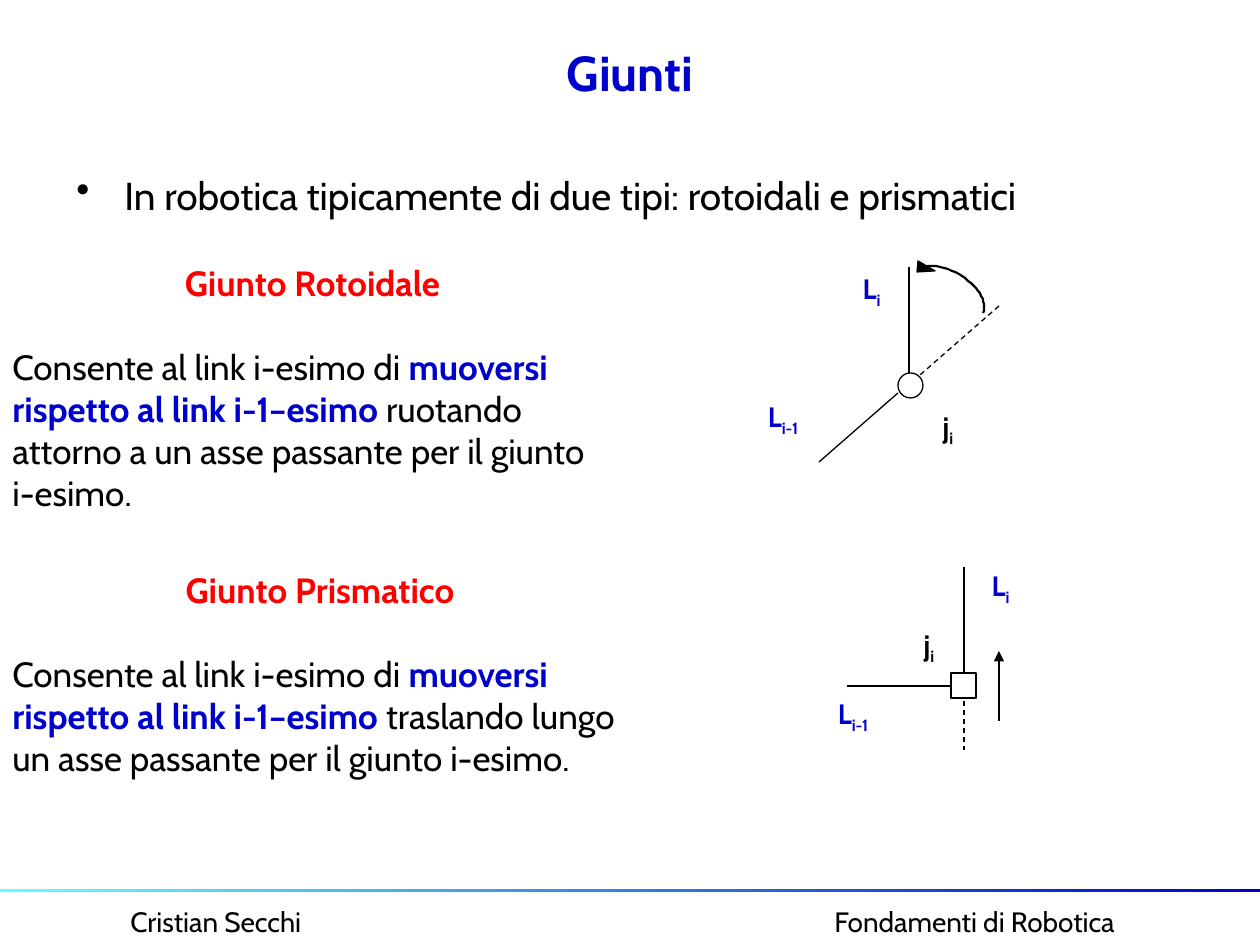
"""Build the slide on revolute and prismatic robot joints."""
import pptx
import pptx.dml.color
import pptx.enum.dml
import pptx.enum.shapes
import pptx.enum.text
import pptx.oxml.ns
import pptx.util
from lxml import etree

RGBColor = pptx.dml.color.RGBColor
BLUE = RGBColor(0x00, 0x00, 0xCC)
CYAN = RGBColor(0x66, 0xFF, 0xFF)
RED = RGBColor(0xFF, 0x00, 0x00)
BLACK = RGBColor(0x00, 0x00, 0x00)
WHITE = RGBColor(0xFF, 0xFF, 0xFF)
FONT = "Cabin"
SCALE = 914400 / 126
ALIGN = pptx.enum.text.PP_ALIGN
SHAPE = pptx.enum.shapes.MSO_SHAPE

TITLE = "Giunti"
INTRO = "In robotica tipicamente di due tipi: rotoidali e prismatici"
OPENING = "Consente al link i-esimo di "
EMPHASIS = "muoversi rispetto al link i-1–esimo "
JOINTS = [
    ("Giunto Rotoidale", "ruotando attorno a un asse passante per il giunto i-esimo.", (0, 255, 625, 265)),
    ("Giunto Prismatico", "traslando lungo un asse passante per il giunto i-esimo.", (0, 562, 640, 265)),
]
FOOTERS = [("Cristian Secchi", 118), ("Fondamenti di Robotica", 822)]
LABELS = [
    ("L", "i-1", BLUE, (753, 393, 60, 52)),
    ("L", "i", BLUE, (849, 265, 45, 52)),
    ("j", "i", BLACK, (929, 403, 38, 52)),
    ("L", "i-1", BLUE, (823, 690, 60, 52)),
    ("L", "i", BLUE, (978, 562, 45, 52)),
    ("j", "i", BLACK, (910, 621, 38, 52)),
]
LINES = [
    ((898, 393), (819, 462), ""),
    ((909, 267), (909, 373), ""),
    ((999, 306), (920, 375), "dash"),
    ((952, 686), (847, 686), ""),
    ((964, 567), (964, 673), ""),
    ((964, 701), (964, 750), "dash"),
    ((999, 721), (999, 651), "arrow"),
]
PIVOTS = [(SHAPE.OVAL, (898, 373, 25, 25)), (SHAPE.RECTANGLE, (951, 673, 25, 25))]
ARC_CONTROLS = [(983, 313), (991, 297), (962, 265), (927, 266)]
ARC_HEAD = [(918, 261), (917, 272), (935, 271)]


def emu(*lengths):
    return [round(length * SCALE) for length in lengths]


def add_text(slide, box, paragraphs, size, wrap=True):
    """Add a text box; each paragraph is (alignment, [(text, colour, bold), ...])."""
    frame = slide.shapes.add_textbox(*emu(*box)).text_frame
    frame.word_wrap = wrap
    for index, (alignment, pieces) in enumerate(paragraphs):
        paragraph = frame.add_paragraph() if index else frame.paragraphs[0]
        paragraph.alignment = alignment
        for text, colour, bold in pieces:
            run = paragraph.add_run()
            run.text = text
            run.font.name = FONT
            run.font.size = pptx.util.Pt(size)
            run.font.bold = bold
            run.font.color.rgb = colour
    return frame


def add_bullet(paragraph, indent):
    properties = paragraph._p.get_or_add_pPr()
    properties.set("marL", str(indent))
    properties.set("indent", str(-indent))
    etree.SubElement(properties, pptx.oxml.ns.qn("a:buChar")).set("char", "•")


def add_line(slide, start, end, style):
    connector = slide.shapes.add_connector(
        pptx.enum.shapes.MSO_CONNECTOR.STRAIGHT, *emu(*start, *end))
    connector.line.color.rgb = BLACK
    connector.line.width = pptx.util.Pt(0.75)
    if style == "dash":
        connector.line.dash_style = pptx.enum.dml.MSO_LINE.DASH
    if style == "arrow":
        outline = connector.line._get_or_add_ln()
        etree.SubElement(outline, pptx.oxml.ns.qn("a:tailEnd")).set("type", "triangle")
    etree.SubElement(connector._element.spPr, pptx.oxml.ns.qn("a:effectLst"))


def add_outline(slide, points, closed):
    builder = slide.shapes.build_freeform(*points[0], scale=SCALE)
    builder.add_line_segments(points[1:], close=closed)
    shape = builder.convert_to_shape()
    shape.shadow.inherit = False
    shape.line.color.rgb = BLACK
    shape.line.width = pptx.util.Pt(0.75 if closed else 1.25)
    if closed:
        shape.fill.solid()
        shape.fill.fore_color.rgb = BLACK
    else:
        shape.fill.background()


def curve_points(controls, steps=24):
    points = []
    for step in range(steps + 1):
        t = step / steps
        weights = ((1 - t) ** 3, 3 * t * (1 - t) ** 2, 3 * t * t * (1 - t), t ** 3)
        points.append(tuple(sum(w * value for w, value in zip(weights, axis))
                            for axis in zip(*controls)))
    return points


def add_rule(slide):
    rule = slide.shapes.add_shape(SHAPE.RECTANGLE, *emu(0, 889, 1260, 3))
    rule.shadow.inherit = False
    rule.line.fill.background()
    rule.fill.gradient()
    rule.fill.gradient_angle = 0
    for stop, colour in zip(rule.fill.gradient_stops, (CYAN, BLUE)):
        stop.color.rgb = colour


def main():
    presentation = pptx.Presentation()
    presentation.slide_width, presentation.slide_height = emu(1260, 945)
    slide = presentation.slides.add_slide(presentation.slide_layouts[6])

    for text, left in FOOTERS:
        add_text(slide, (left, 898, 320, 47), [(ALIGN.LEFT, [(text, BLACK, False)])], 16)
    add_rule(slide)
    title = add_text(slide, (63, 38, 1134, 68), [(ALIGN.CENTER, [(TITLE, BLUE, True)])], 28)
    title.vertical_anchor = pptx.enum.text.MSO_ANCHOR.MIDDLE
    intro = add_text(slide, (64, 165, 1134, 79), [(ALIGN.LEFT, [(INTRO, BLACK, False)])], 22.2)
    add_bullet(intro.paragraphs[0], emu(48)[0])

    for heading, ending, box in JOINTS:
        sentence = [(OPENING, BLACK, False), (EMPHASIS, BLUE, True), (ending, BLACK, False)]
        frame = add_text(slide, box, [(ALIGN.CENTER, [(heading, RED, True)]),
                                      (ALIGN.LEFT, sentence)], 20)
        frame.paragraphs[1].space_before = pptx.util.Pt(24)

    for kind, box in PIVOTS:
        pivot = slide.shapes.add_shape(kind, *emu(*box))
        pivot.shadow.inherit = False
        pivot.fill.solid()
        pivot.fill.fore_color.rgb = WHITE
        pivot.line.color.rgb = BLACK
        pivot.line.width = pptx.util.Pt(0.75)
    for start, end, style in LINES:
        add_line(slide, start, end, style)
    add_outline(slide, curve_points(ARC_CONTROLS), closed=False)
    add_outline(slide, ARC_HEAD, closed=True)

    for letter, subscript, colour, box in LABELS:
        pieces = [(letter, colour, True), (subscript, colour, True)]
        frame = add_text(slide, box, [(ALIGN.CENTER, pieces)], 16, wrap=False)
        frame.paragraphs[0].runs[1].font._element.set("baseline", "-25000")

    presentation.save("out.pptx")


if __name__ == "__main__":
    main()
